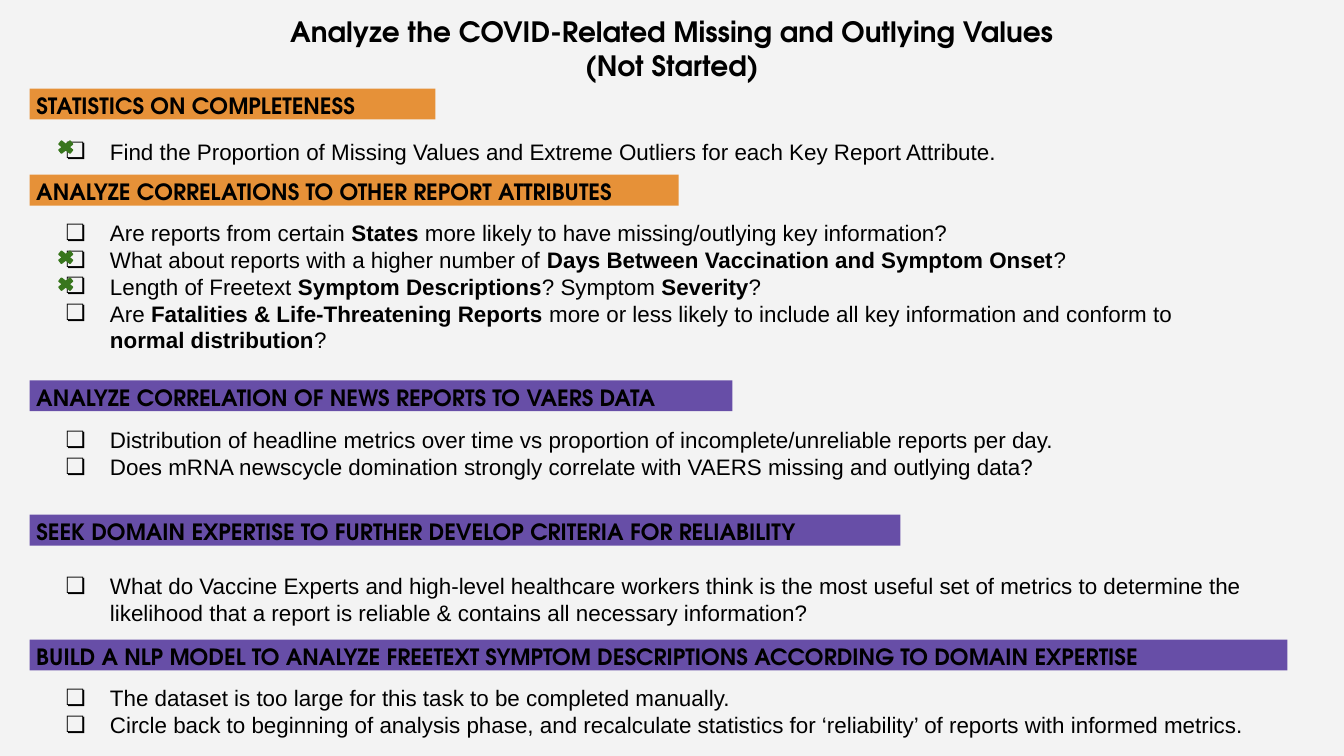
from dataclasses import dataclass

from lxml.etree import SubElement
from pptx import Presentation
from pptx.dml.color import RGBColor
from pptx.enum.shapes import MSO_SHAPE
from pptx.enum.text import MSO_ANCHOR, PP_ALIGN
from pptx.oxml.ns import qn
from pptx.shapes.autoshape import Shape
from pptx.slide import Slide
from pptx.text.text import TextFrame, _Paragraph
from pptx.util import Inches, Pt


@dataclass(frozen=True)
class Theme:
    background: RGBColor = RGBColor.from_string("F3F3F3")
    text: RGBColor = RGBColor.from_string("000000")
    orange: RGBColor = RGBColor.from_string("E69138")
    purple: RGBColor = RGBColor.from_string("674EA7")
    green: RGBColor = RGBColor.from_string("38761D")
    heading_font: str = "TeX Gyre Adventor"
    body_font: str = "Arial"
    title_size: int = 15
    text_size: int = 12


@dataclass(frozen=True)
class Section:
    heading: str
    color: RGBColor
    row: int
    columns: int
    body_row: int
    body_rows: int
    items: tuple[str, ...]
    continuation: str = ""
    top_inset: float = 0.1


THEME = Theme()
SLIDE_WIDTH = Inches(10)
SLIDE_HEIGHT = SLIDE_WIDTH * 9 // 16
COLUMNS = 1000
CELL = SLIDE_WIDTH // COLUMNS
LEFT = 22
HEADING_ROWS = 23
BODY_COLUMNS = 957
MARK_COLUMN, MARK_COLUMNS, MARK_ROWS = 41, 16, 13
MARK_START_ROWS = (103, 185, 205)
TITLE = ("Analyze the COVID-Related Missing and Outlying Values", "(Not Started)")
BOLD = "**"

SECTIONS = (
    Section("STATISTICS ON COMPLETENESS", THEME.orange, 66, 302, 89, 35, (
        "Find the Proportion of Missing Values and Extreme Outliers for each Key Report Attribute.",
    ), top_inset=0.17),
    Section("ANALYZE CORRELATIONS TO OTHER REPORT ATTRIBUTES", THEME.orange, 130, 483, 153, 113, (
        "Are reports from certain **States** more likely to have missing/outlying key information?",
        "What about reports with a higher number of **Days Between Vaccination and Symptom Onset**?",
        "Length of Freetext **Symptom Descriptions**? Symptom **Severity**?",
        "Are **Fatalities & Life-Threatening Reports** more or less likely to include all key "
        "information and conform to",
    ), continuation="**normal distribution**?"),
    Section("ANALYZE CORRELATION OF NEWS REPORTS TO VAERS DATA", THEME.purple, 283, 523, 307, 67, (
        "Distribution of headline metrics over time vs proportion of incomplete/unreliable reports per day.",
        "Does mRNA newscycle domination strongly correlate with VAERS missing and outlying data?",
    )),
    Section("SEEK DOMAIN EXPERTISE TO FURTHER DEVELOP CRITERIA FOR RELIABILITY",
            THEME.purple, 383, 648, 416, 60, (
        "What do Vaccine Experts and high-level healthcare workers think is the most useful set of "
        "metrics to determine the likelihood that a report is reliable & contains all necessary information?",
    )),
    Section("BUILD A NLP MODEL TO ANALYZE FREETEXT SYMPTOM DESCRIPTIONS ACCORDING TO DOMAIN EXPERTISE",
            THEME.purple, 476, 936, 499, 60, (
        "The dataset is too large for this task to be completed manually.",
        "Circle back to beginning of analysis phase, and recalculate statistics for ‘reliability’ "
        "of reports with informed metrics.",
    )),
)


def cells(*counts: int) -> list[int]:
    return [count * CELL for count in counts]


def set_frame(frame: TextFrame, horizontal: float, top: float, bottom: float) -> None:
    frame.word_wrap = True
    frame.vertical_anchor = MSO_ANCHOR.TOP
    frame.margin_left = frame.margin_right = Inches(horizontal)
    frame.margin_top = Inches(top)
    frame.margin_bottom = Inches(bottom)


def set_font(paragraph: _Paragraph, name: str, size: int) -> None:
    paragraph.font.name = name
    paragraph.font.size = Pt(size)
    paragraph.font.color.rgb = THEME.text


def add_paragraph(frame: TextFrame, index: int) -> _Paragraph:
    return frame.add_paragraph() if index else frame.paragraphs[0]


def add_solid_shape(slide: Slide, kind: MSO_SHAPE, color: RGBColor, *place: int) -> Shape:
    shape = slide.shapes.add_shape(kind, *cells(*place))
    shape.shadow.inherit = False
    shape.fill.solid()
    shape.fill.fore_color.rgb = color
    return shape


def add_title(slide: Slide) -> None:
    frame = slide.shapes.add_textbox(*cells(0, 1, COLUMNS, 63)).text_frame
    set_frame(frame, 0, 0.1, 0.1)
    for index, line in enumerate(TITLE):
        paragraph = add_paragraph(frame, index)
        paragraph.text = line
        paragraph.alignment = PP_ALIGN.CENTER
        set_font(paragraph, THEME.heading_font, THEME.title_size)
        paragraph.font.bold = True


def add_heading(slide: Slide, section: Section) -> None:
    shape = add_solid_shape(slide, MSO_SHAPE.RECTANGLE, section.color,
                            LEFT, section.row, section.columns, HEADING_ROWS)
    shape.line.fill.background()
    set_frame(shape.text_frame, 0.05, 0.05, 0.05)
    paragraph = shape.text_frame.paragraphs[0]
    paragraph.text = section.heading
    paragraph.alignment = PP_ALIGN.LEFT
    paragraph.line_spacing = 0.9
    set_font(paragraph, THEME.heading_font, THEME.text_size)
    paragraph.font.bold = True


def set_indent(paragraph: _Paragraph, bulleted: bool) -> None:
    properties = paragraph._p.get_or_add_pPr()
    properties.set("marL", str(Inches(0.5)))
    properties.set("indent", str(Inches(-0.33) if bulleted else 0))
    if bulleted:
        color = SubElement(properties, qn("a:buClr"))
        SubElement(color, qn("a:srgbClr"), val=str(THEME.text))
        SubElement(properties, qn("a:buSzPts"), val=str(THEME.text_size * 100))
        SubElement(properties, qn("a:buFont"), typeface=THEME.body_font)
        SubElement(properties, qn("a:buChar"), char="❏")


def add_body(slide: Slide, section: Section) -> None:
    frame = slide.shapes.add_textbox(
        *cells(LEFT, section.body_row, BODY_COLUMNS, section.body_rows)).text_frame
    set_frame(frame, 0.1, section.top_inset, 0.1)
    lines = [(item, True) for item in section.items]
    if section.continuation:
        lines.append((section.continuation, False))
    for index, (line, bulleted) in enumerate(lines):
        paragraph = add_paragraph(frame, index)
        set_indent(paragraph, bulleted)
        set_font(paragraph, THEME.body_font, THEME.text_size)
        for position, text in enumerate(line.split(BOLD)):
            if text:
                run = paragraph.add_run()
                run.text = text
                run.font.bold = position % 2 == 1


def add_mark(slide: Slide, row: int) -> None:
    shape = add_solid_shape(slide, MSO_SHAPE.MATH_MULTIPLY, THEME.green,
                            MARK_COLUMN, row, MARK_COLUMNS, MARK_ROWS)
    shape.line.color.rgb = THEME.green
    shape.line.width = Pt(0.75)


def main() -> None:
    presentation = Presentation()
    presentation.slide_width = SLIDE_WIDTH
    presentation.slide_height = SLIDE_HEIGHT
    slide = presentation.slides.add_slide(presentation.slide_layouts[6])
    slide.background.fill.solid()
    slide.background.fill.fore_color.rgb = THEME.background
    add_title(slide)
    for section in SECTIONS:
        add_heading(slide, section)
        add_body(slide, section)
    for row in MARK_START_ROWS:
        add_mark(slide, row)
    presentation.save("out.pptx")


if __name__ == "__main__":
    main()
